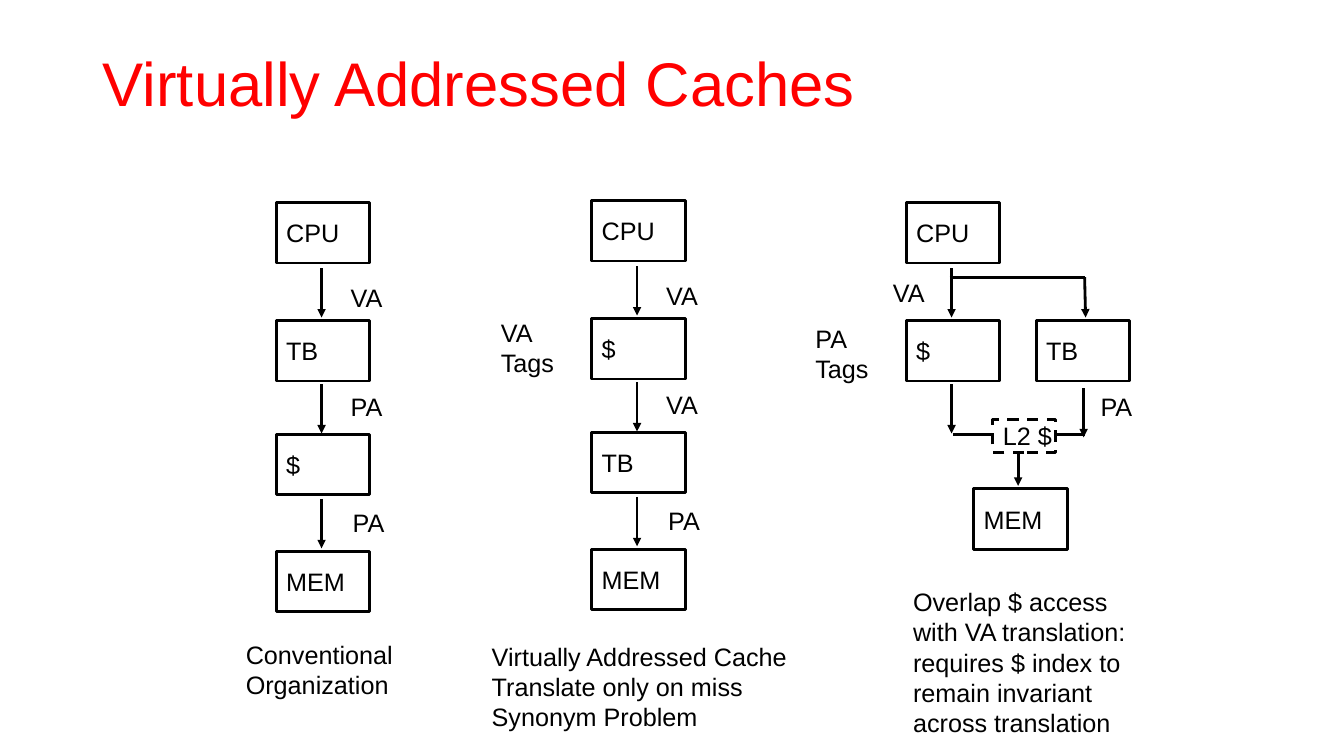
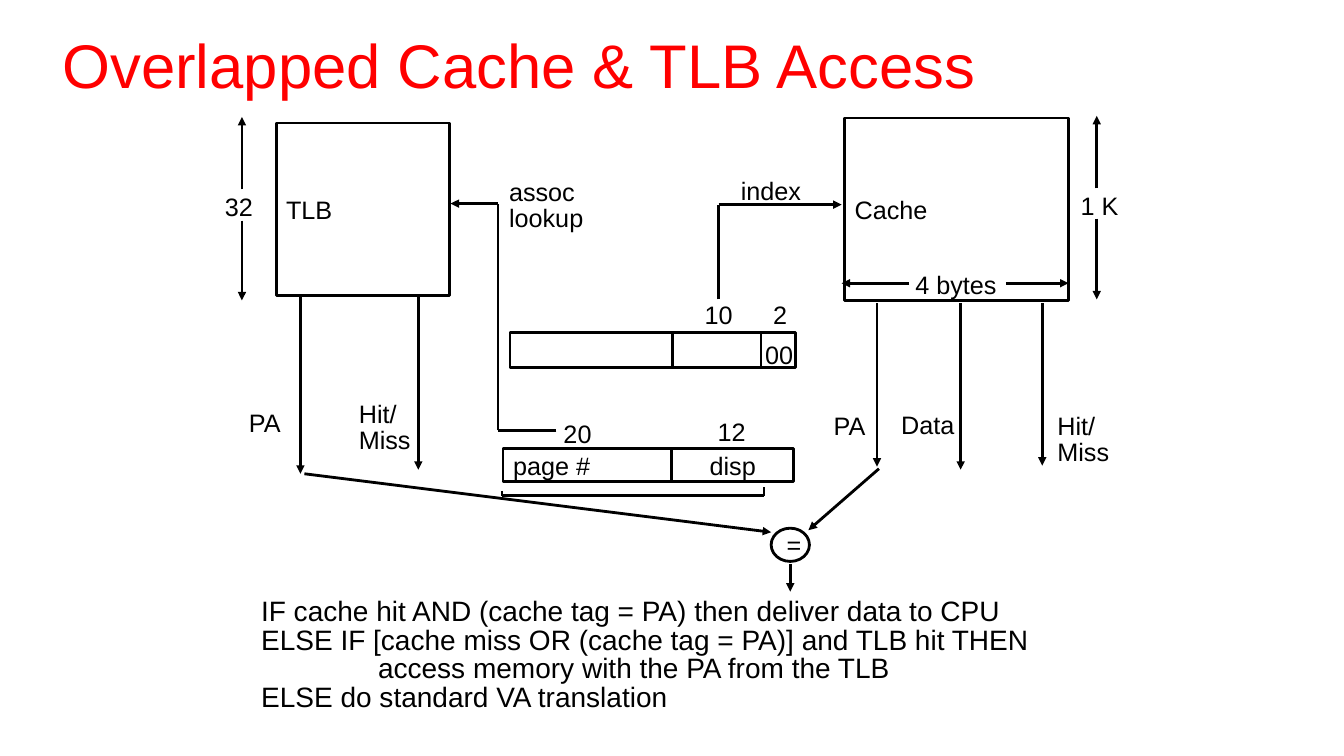
from dataclasses import dataclass
from itertools import pairwise

from lxml.etree import SubElement
from pptx import Presentation
from pptx.dml.color import RGBColor as Color
from pptx.enum.dml import MSO_LINE as Dash
from pptx.enum.shapes import MSO_CONNECTOR as Connector, MSO_SHAPE as Shape
from pptx.enum.text import MSO_ANCHOR as Anchor, MSO_AUTO_SIZE as Fit, PP_ALIGN as Align
from pptx.oxml.ns import qn
from pptx.util import Inches, Pt

# The grid has ten cells to the inch in both directions
CELL = Inches(0.1)
COLUMNS, ROWS = 133.33, 75


@dataclass(frozen=True)
class Theme:
    font: str = "Arial"
    title_color: Color = Color(0xFF, 0, 0)
    ink: Color = Color(0, 0, 0)
    paper: Color = Color(0xFF, 0xFF, 0xFF)
    title_size: int = 44
    caption_size: int = 20
    body_size: int = 18
    line_width: int = 2
    title_spacing: float = 0.9


@dataclass(frozen=True)
class LabelStyle:
    """Margins, line spacing and row height of the labels on a page."""
    inset: tuple
    spacing: float
    line_rows: float
    extra_rows: float


THEME = Theme()
LOOSE = LabelStyle((1, 0.5), 1, 3, 1)
TIGHT = LabelStyle((0.7, 0.3), 0.85, 2.6, 0.5)


def cells(*values):
    return [round(value * CELL) for value in values]


def write(frame, text, *, size=THEME.body_size, color=THEME.ink, spacing=1,
          inset=LOOSE.inset, anchor=Anchor.TOP, wrap=False, fit=Fit.NONE, indents=None):
    """Fill a text frame, one paragraph per line; indents maps line number to cells."""
    frame.word_wrap, frame.auto_size, frame.vertical_anchor = wrap, fit, anchor
    side, edge = cells(*inset)
    frame.margin_left = frame.margin_right = side
    frame.margin_top = frame.margin_bottom = edge
    for number, line in enumerate(text.split("\n")):
        para = frame.add_paragraph() if number else frame.paragraphs[0]
        if indents and number in indents:
            properties = para._element.get_or_add_pPr()
            properties.set("marL", str(cells(indents[number])[0]))
            properties.set("indent", "0")
        para.alignment, para.line_spacing = Align.LEFT, spacing
        span = para.add_run()
        span.text = line
        span.font.name, span.font.size = THEME.font, Pt(size)
        span.font.color.rgb = color


class Diagram:
    """Holds the deck, the current page and its label style."""

    def __init__(self):
        self.deck = Presentation()
        self.deck.slide_width, self.deck.slide_height = cells(COLUMNS, ROWS)

    def start_page(self, title, at, style):
        layout = self.deck.slide_layouts.get_by_name("Title Only")
        self.page = self.deck.slides.add_slide(layout)
        self.style = style
        holder = self.page.shapes.title
        holder.left, holder.top, holder.width, holder.height = cells(*at)
        write(holder.text_frame, title, size=THEME.title_size, color=THEME.title_color,
              spacing=THEME.title_spacing, anchor=Anchor.MIDDLE, wrap=True)

    def box(self, text, x, y, width=9.3, height=6, *, kind=Shape.RECTANGLE,
            filled=True, dash=None):
        box = self.page.shapes.add_shape(kind, *cells(x, y, width, height))
        box.shadow.inherit = False
        if filled:
            box.fill.solid()
            box.fill.fore_color.rgb = THEME.paper
        else:
            box.fill.background()
        box.line.color.rgb, box.line.width = THEME.ink, Pt(THEME.line_width)
        if dash:
            box.line.dash_style = dash
        if text:
            write(box.text_frame, text, anchor=Anchor.MIDDLE)

    def label(self, text, x, y, width, *, size=THEME.body_size, indents=None):
        style = self.style
        lines = text.count("\n") + 1
        height = lines * style.line_rows * size / THEME.body_size + style.extra_rows
        box = self.page.shapes.add_textbox(*cells(x, y, width, height))
        write(box.text_frame, text, size=size, spacing=style.spacing, inset=style.inset,
              fit=Fit.SHAPE_TO_FIT_TEXT, indents=indents)

    def line(self, *points, arrow=False):
        """Join the points with straight lines; an arrow ends the last one."""
        for start, end in pairwise(points):
            line = self.page.shapes.add_connector(Connector.STRAIGHT, *cells(*start, *end))
            line.line.color.rgb, line.line.width = THEME.ink, Pt(THEME.line_width)
            properties = line._element.spPr
            if arrow and end == points[-1]:
                SubElement(properties.find(qn("a:ln")), qn("a:tailEnd"), type="triangle")
            SubElement(properties, qn("a:effectLst"))

    def arrow(self, *points):
        self.line(*points, arrow=True)

    def drop(self, x, top, bottom):
        self.arrow((x, top), (x, bottom))

    def stack(self, x, top, names, labels):
        """A column of boxes with a labelled arrow below each but the last."""
        for name, offset in zip(names, (0, 11.7, 23, 34.6)):
            self.box(name, x, top + offset)
        for label, start, shift, drop in zip(
                labels, (6.5, 18, 29.4), (6.4, 6.4, 6.6), (7.4, 18.2, 29.7)):
            self.drop(x + 4.5, top + start, top + start + 4.9)
            self.label(label, x + shift, top + drop, 5.3)

    def measure(self, text, x, top, bottom, label_at, gap):
        """A vertical dimension, broken by its label."""
        self.drop(x, gap[0], top)
        self.drop(x, gap[1], bottom)
        self.label(text, *label_at)

    def strip(self, x, y, width, height, dividers):
        """An address word split into fields."""
        self.box("", x, y, width, height, filled=False)
        for divider in dividers:
            self.line((divider, y), (divider, y + height))


def draw_organizations(diagram):
    diagram.start_page("Virtually Addressed Caches", (9.2, 4, 115, 9.1), LOOSE)

    # Conventional organization and virtually addressed cache
    diagram.stack(27.4, 20.1, ("CPU", "TB", "$", "MEM"), ("VA", "PA", "PA"))
    diagram.label("Conventional\nOrganization", 23.4, 62.9, 16.7)
    diagram.stack(58.7, 19.9, ("CPU", "$", "TB", "MEM"), ("VA", "VA", "PA"))
    diagram.label("VA\nTags", 48.7, 31, 7.5)
    diagram.label("Virtually Addressed Cache\nTranslate only on miss\nSynonym Problem",
                  47.8, 63.1, 31.4)

    # Overlapped access: cache and translation side by side
    diagram.stack(89.9, 20.1, ("CPU", "$"), ())
    diagram.box("TB", 102.8, 31.8)
    diagram.box("MEM", 96.6, 48.5)
    diagram.drop(94.4, 26.6, 31.5)
    diagram.arrow((94.2, 27.5), (107.6, 27.5), (107.7, 31.5))
    diagram.drop(94.4, 38.1, 43)
    diagram.drop(107.5, 38.5, 43.4)
    diagram.line((94.5, 43.1), (107.6, 43.1))
    diagram.drop(101, 43.3, 48.2)
    diagram.box("L2 $", 98.5, 41.6, 6.2, 3.3, dash=Dash.DASH)
    diagram.label("VA", 87.6, 27, 5.3)
    diagram.label("PA\nTags", 79.9, 31.6, 7.5)
    diagram.label("PA", 108.2, 38.3, 5.3)
    diagram.label("Overlap $ access\nwith VA translation:\nrequires $ index to\n"
                  "remain invariant\nacross translation", 89.6, 57.7, 23.4)


def draw_overlapped_access(diagram):
    diagram.start_page("Overlapped Cache & TLB Access", (5.2, 4.6, 111.3, 4.5), TIGHT)

    # The two memories and their dimensions
    diagram.box("TLB", 27.4, 12.2, 17.2, 17.1, filled=False)
    diagram.box("Cache", 83.8, 11.7, 22.2, 18.1, filled=False)
    diagram.measure("32", 24, 11.6, 29.8, (21.6, 19.1, 4.2), (18.8, 21.9))
    diagram.measure("1 K", 108.8, 11.5, 29.7, (106.5, 19, 5.3), (18.7, 21.7))
    diagram.arrow((99.8, 28.1), (106, 28.1))
    diagram.arrow((90.2, 28.1), (83.5, 28.1))

    # Address words, and the paths from them to the memories
    diagram.strip(50.6, 33, 28.3, 3.5, (66.7, 75.5))
    diagram.strip(49.9, 44.5, 28.8, 3.3, (66.6,))
    diagram.arrow((71.3, 29.7), (71.3, 20.3), (83.5, 20.3))
    diagram.arrow((55.2, 42.7), (49.4, 42.7), (49.4, 20.2), (44.7, 20.2))
    diagram.line((49.8, 48.7), (49.8, 49.2), (75.8, 49.2), (75.8, 48.3))

    # Outputs of the memories
    for x, top, bottom in ((29.8, 29.5, 47), (41.5, 29.5, 46.6), (87, 30.1, 46.3),
                           (95.3, 30.1, 46.6), (103.4, 30.1, 46.2)):
        diagram.drop(x, top, bottom)

    # Comparison of the two physical addresses
    diagram.box("=", 76.5, 52.4, 3.8, 3.3, kind=Shape.OVAL, filled=False)
    diagram.arrow((87.2, 46.5), (80.2, 52.6))
    diagram.arrow((30.2, 47), (76.5, 52.8))
    diagram.drop(78.4, 56, 58.7)

    # Labels
    for label in (("10", 69.2, 29.9, 4.2), ("2", 76, 29.9, 2.8), ("00", 75.2, 33.8, 4.2),
                  ("4 bytes", 90.1, 26.9, 9.5), ("index", 72.8, 17.6, 7.4),
                  ("page #", 50.2, 44.8, 9.3), ("disp", 69.7, 44.8, 6),
                  ("20", 55.2, 41.7, 4.2), ("12", 70.5, 41.5, 4.2),
                  ("assoc\nlookup", 49.8, 17.7, 8.8), ("PA", 24, 40.6, 4.6),
                  ("Hit/\nMiss", 34.9, 39.7, 6.6), ("PA", 82, 40.9, 4.6),
                  ("Data", 88.7, 40.8, 6.8), ("Hit/\nMiss", 104.2, 40.9, 6.6)):
        diagram.label(*label)

    # Decision rule
    diagram.label("IF cache hit AND (cache tag = PA) then deliver data to CPU\n"
                  "ELSE IF [cache miss OR (cache tag = PA)] and TLB hit THEN\n"
                  "access memory with the PA from the TLB\n"
                  "ELSE do standard VA translation",
                  25.2, 59.1, 78.1, size=THEME.caption_size, indents={2: 11.6})


def main():
    diagram = Diagram()
    draw_organizations(diagram)
    draw_overlapped_access(diagram)
    diagram.deck.save("out.pptx")


if __name__ == "__main__":
    main()
